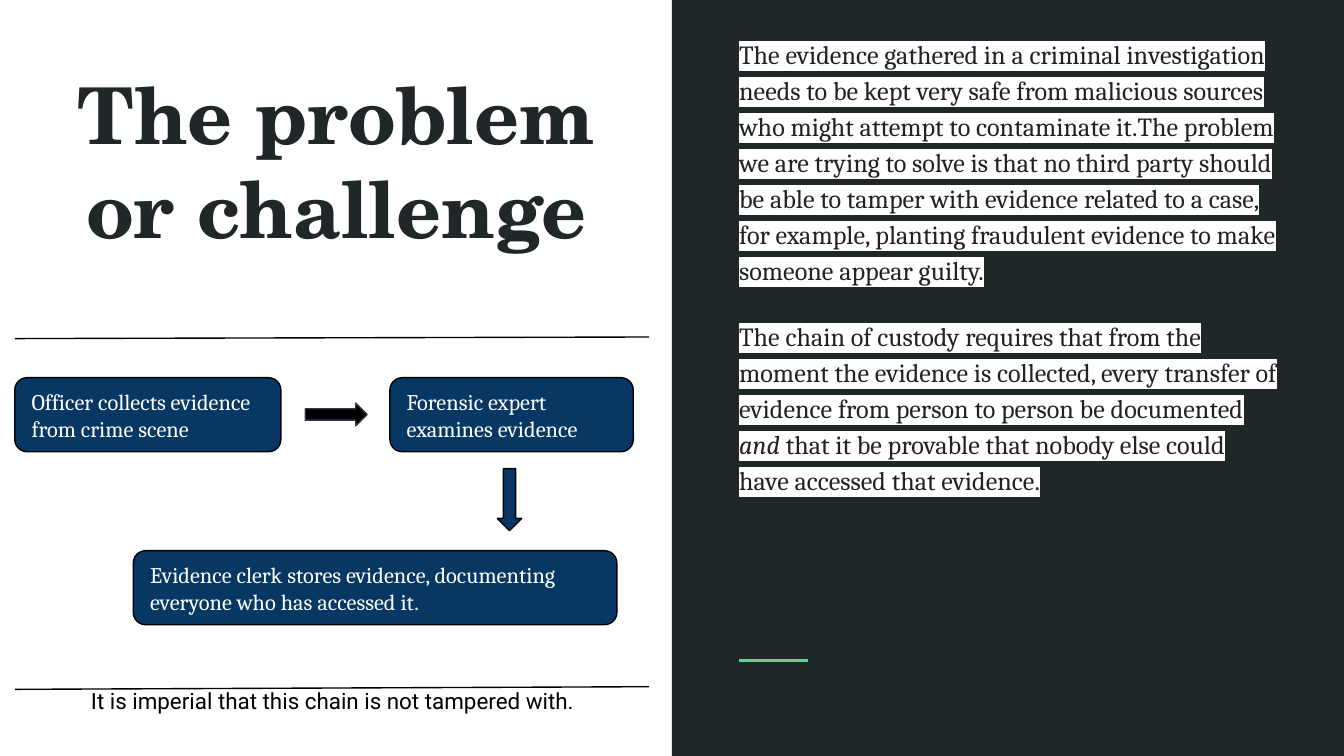
from lxml.etree import SubElement
from pptx import Presentation
from pptx.dml.color import RGBColor
from pptx.enum.shapes import MSO_CONNECTOR as Link, MSO_SHAPE as Kind
from pptx.enum.text import MSO_ANCHOR as Anchor, PP_ALIGN as Align
from pptx.oxml.ns import qn
from pptx.util import Cm, Pt

WHITE = RGBColor(0xFF, 0xFF, 0xFF)
BLACK = RGBColor(0, 0, 0)
DARK = RGBColor(0x20, 0x27, 0x29)
INK = RGBColor(0x22, 0x22, 0x22)
SLATE = RGBColor(0x35, 0x37, 0x44)
NAVY = RGBColor(0x07, 0x37, 0x63)
GREEN = RGBColor(0x63, 0xD2, 0x97)

WIDE, HIGH = 25.4, 14.29
HALF = WIDE / 2
PAD = 0.25
STEP = 1.4

TITLE = "The problem or challenge"
NOTE = "It is imperial that this chain is not tampered with."
BODY = [
    [("The evidence gathered in a criminal investigation needs to be kept very safe "
      "from malicious sources who might attempt to contaminate it.The problem we are "
      "trying to solve is that no third party should be able to tamper with evidence "
      "related to a case, for example, planting fraudulent evidence to make someone "
      "appear guilty.", False)],
    [("The chain of custody requires that from the moment the evidence is collected, "
      "every transfer of evidence from person to person be documented ", False),
     ("and", True),
     (" that it be provable that nobody else could have accessed that evidence.", False)],
]
STEPS = [
    ("Officer collects evidence from crime scene", 0.28, 7.14, 5.03),
    ("Forensic expert examines evidence", 7.37, 7.14, 4.6),
    ("Evidence clerk stores evidence, documenting everyone who has accessed it.",
     2.52, 10.41, 9.14),
]
ARROWS = [
    (Kind.RIGHT_ARROW, (5.77, 7.62, 1.17, 0.43), BLACK, SLATE),
    (Kind.DOWN_ARROW, (9.4, 8.86, 0.46, 1.17), NAVY, BLACK),
]
RULES = [
    (0.28, 6.4, 12.27, 6.37, BLACK, 0.75),
    (0.28, 13.03, 12.27, 12.98, BLACK, 0.75),
    (13.97, 12.49, 15.27, 12.49, GREEN, 1.5),
]

deck = Presentation()
deck.slide_width, deck.slide_height = Cm(WIDE), Cm(HIGH)
slide = deck.slides.add_slide(deck.slide_layouts[6])
shapes = slide.shapes


def block(kind, area, fill, edge=None):
    shape = shapes.add_shape(kind, *map(Cm, area))
    shape.shadow.inherit = False
    shape.fill.solid()
    shape.fill.fore_color.rgb = fill
    if edge is None:
        shape.line.fill.background()
    else:
        shape.line.color.rgb = edge
        shape.line.width = Pt(0.75)
    return shape


def rule(x, y, end_x, end_y, color, width):
    line = shapes.add_connector(Link.STRAIGHT, Cm(x), Cm(y), Cm(end_x), Cm(end_y))
    line.line.color.rgb = color
    line.line.width = Pt(width)
    SubElement(line._element.spPr, qn("a:effectLst"))


def frame_of(shape, anchor):
    frame = shape.text_frame
    frame.word_wrap = True
    frame.vertical_anchor = anchor
    frame.margin_left = frame.margin_right = Cm(PAD)
    frame.margin_top = frame.margin_bottom = Cm(PAD)
    return frame


def style(run, name, size, color, bold=False, slant=False):
    font = run.font
    font.name, font.size = name, Pt(size)
    font.bold, font.italic = bold, slant
    font.color.rgb = color


def write(shape, text, anchor, align, *look):
    frame = frame_of(shape, anchor)
    frame.text = text
    par = frame.paragraphs[0]
    par.alignment = align
    style(par.runs[0], *look)


def mark(run, color):
    props = run._r.get_or_add_rPr()
    glow = SubElement(props, qn("a:highlight"))
    SubElement(glow, qn("a:srgbClr")).set("val", str(color))
    props.find(qn("a:solidFill")).addnext(glow)


def box(*area):
    return shapes.add_textbox(*map(Cm, area))


block(Kind.RECTANGLE, (HALF, 0, HALF, HIGH), DARK)
write(box(0.74, 0.86, 11.23, 4.19), TITLE, Anchor.BOTTOM, Align.CENTER,
      "TeX Gyre Schola", 42, DARK, True)

frame = frame_of(box(13.72, 0.38, 10.67, 10.59), Anchor.TOP)
for i, parts in enumerate(BODY):
    par = frame.add_paragraph() if i else frame.paragraphs[0]
    par.line_spacing = 1.15
    if i:
        par.space_before = Pt(16)
    for text, slant in parts:
        run = par.add_run()
        run.text = text
        style(run, "Cambria", 14, INK, False, slant)
        mark(run, WHITE)

for text, x, y, width in STEPS:
    write(block(Kind.ROUNDED_RECTANGLE, (x, y, width, STEP), NAVY, BLACK), text,
          Anchor.MIDDLE, Align.LEFT, "Cambria", 12, WHITE)
for arrow in ARROWS:
    block(*arrow)
for line in RULES:
    rule(*line)

write(box(1.47, 12.8, 9.75, 0.43), NOTE, Anchor.TOP, Align.LEFT, "Roboto", 12, BLACK)

deck.save("out.pptx")
